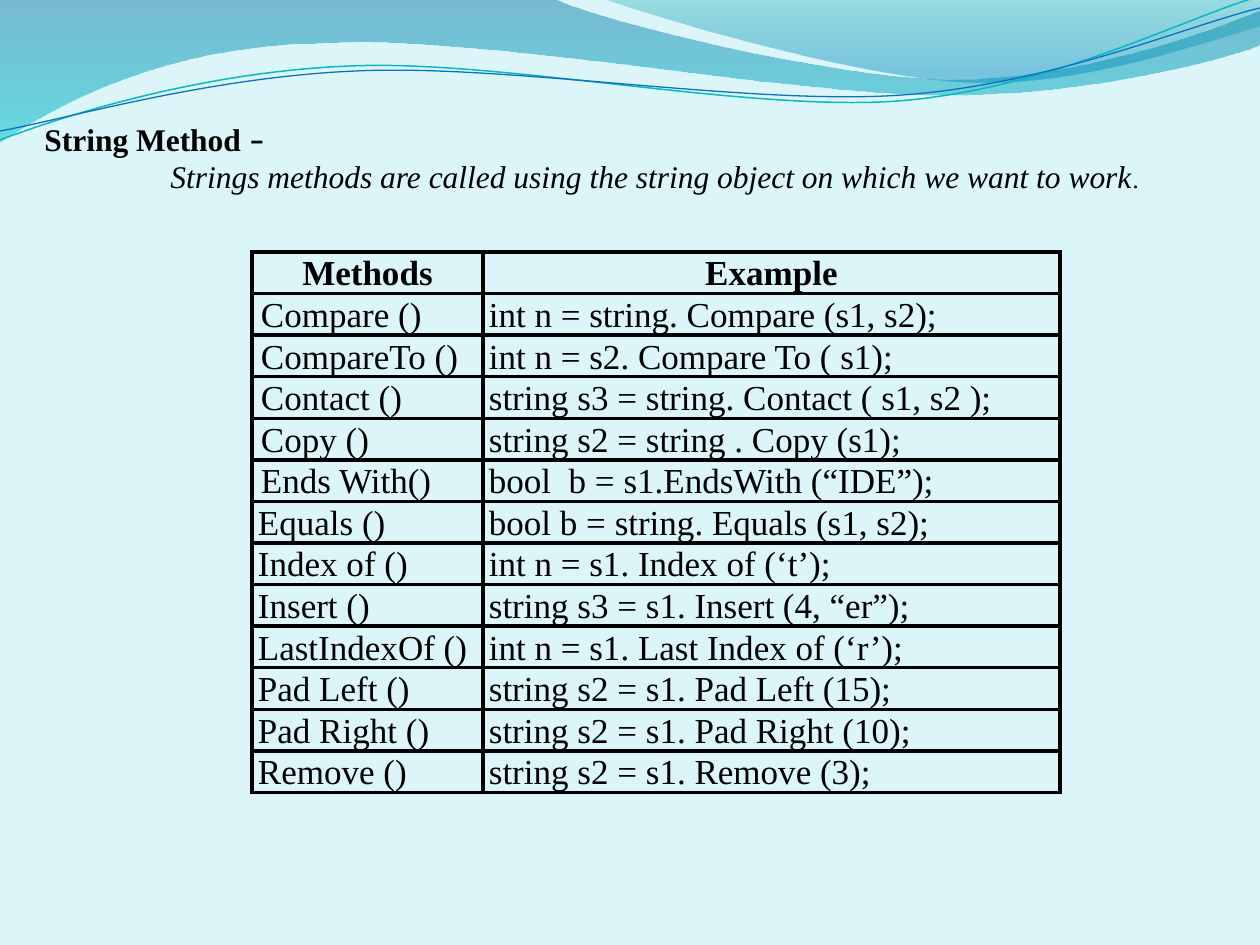
from lxml import etree
from pptx import Presentation
from pptx.dml.color import RGBColor
from pptx.enum.text import MSO_ANCHOR, MSO_AUTO_SIZE, PP_ALIGN
from pptx.oxml.ns import qn
from pptx.util import Emu, Pt

EMU_PER_PX = 914400 / 126
CENTER, LEFT = PP_ALIGN.CENTER, PP_ALIGN.LEFT
MIDDLE = MSO_ANCHOR.MIDDLE
FIT_SHAPE = MSO_AUTO_SIZE.SHAPE_TO_FIT_TEXT

BLACK = RGBColor(0x00, 0x00, 0x00)
PALE_AQUA = RGBColor(0xDB, 0xF5, 0xF9)
DEEP_BLUE = RGBColor(0x00, 0x74, 0xA1)
TURQUOISE = RGBColor(0x00, 0xC6, 0xCF)
TEAL = RGBColor(0x00, 0xA1, 0xA9)
SKY_BLUE = RGBColor(0x00, 0x8B, 0xBF)
LINE_TEAL = RGBColor(0x0A, 0xB8, 0xBF)
LINE_BLUE = RGBColor(0x0F, 0x6F, 0xC6)

SERIF = "Times New Roman"

# A pair is a straight segment's end; six numbers are a cubic curve's
# two control points and end.
LEFT_WAVE = [
    (0, 0), (554, -1), (600, 21, 837, 79, 955, 79),
    (1075, 79, 1207, 33, 1260, 11), (1261, 45),
    (1238, 55, 1096, 96, 940, 95), (784, 94, 481, 35, 324, 43),
    (163, 45, 58, 105, -1, 142), (0, 0),
]
RIGHT_WAVE = [
    (604, -1), (641, 14, 859, 78, 969, 82),
    (1079, 87, 1211, 40, 1260, 26), (1260, 0), (604, -1),
]
TEAL_CURVE = [
    (0, 140), (60, 117, 199, 72, 349, 66),
    (498, 59, 747, 112, 898, 101), (1050, 89, 1182, 19, 1257, -3),
]
BLUE_CURVE = [
    (0, 131), (59, 121, 207, 77, 357, 71),
    (508, 64, 752, 106, 903, 95), (1053, 84, 1186, 26, 1260, 8),
]

METHODS = [
    ("Methods", "Example"),
    ("Compare ()", "int n = string. Compare (s1, s2);"),
    ("CompareTo ()", "int n = s2. Compare To ( s1);"),
    ("Contact ()", "string s3 = string. Contact ( s1, s2 );"),
    ("Copy ()", "string s2 = string . Copy (s1);"),
    ("Ends With()", "bool  b = s1.EndsWith (“IDE”);"),
    ("Equals ()", "bool b = string. Equals (s1, s2);"),
    ("Index of ()", "int n = s1. Index of (‘t’);"),
    ("Insert ()", "string s3 = s1. Insert (4, “er”);"),
    ("LastIndexOf ()", "int n = s1. Last Index of (‘r’);"),
    ("Pad Left ()", "string s2 = s1. Pad Left (15);"),
    ("Pad Right ()", "string s2 = s1. Pad Right (10);"),
    ("Remove ()", "string s2 = s1. Remove (3);"),
]
INDENTED_ROWS = range(1, 6)
COLUMN_WIDTHS = (231, 577)
ROW_HEIGHT = 41


def px(length):
    return Emu(round(length * EMU_PER_PX))


def set_attributes(target, values):
    for name, value in values.items():
        setattr(target, name, value)


def add_run(paragraph, text, **font_values):
    run = paragraph.add_run()
    run.text = text
    run.font.color.rgb = BLACK
    set_attributes(run.font, {"name": SERIF, **font_values})


def add_outline(slide, outline, close):
    """Draw all points as straight lines, then join threes into curves."""
    points = [(px(segment[i]), px(segment[i + 1]))
              for segment in outline for i in range(0, len(segment), 2)]
    builder = slide.shapes.build_freeform(*points[0])
    builder.add_line_segments(points[1:], close=close)
    shape = builder.convert_to_shape()
    shape.shadow.inherit = False
    lines = iter(list(shape._element.spPr.iter(qn("a:lnTo"))))
    for segment in outline[1:]:
        line = next(lines)
        if len(segment) == 2:
            continue
        curve = etree.Element(qn("a:cubicBezTo"))
        line.addprevious(curve)
        for control in (line, next(lines), next(lines)):
            curve.append(control[0])
            control.getparent().remove(control)
    return shape


def add_wave(slide, outline, stops):
    """Add a closed wave; each stop is (position, colour, opacity percent)."""
    shape = add_outline(slide, outline, close=True)
    shape.line.fill.background()
    shape.fill.gradient()
    shape.fill.gradient_angle = 270
    for stop, (position, color, _) in zip(shape.fill.gradient_stops, stops):
        stop.position = position
        stop.color.rgb = color
    colors = shape._element.spPr.iter(qn("a:srgbClr"))
    for color_element, (_, _, opacity) in zip(list(colors), stops):
        etree.SubElement(color_element, qn("a:alpha"), val=str(opacity * 1000))


def add_curve(slide, outline, color, width):
    shape = add_outline(slide, outline, close=False)
    shape.fill.background()
    shape.line.color.rgb = color
    shape.line.width = Pt(width)


def add_borders(cell, width):
    properties = cell._tc.get_or_add_tcPr()
    for index, side in enumerate(("lnL", "lnR", "lnT", "lnB")):
        border = etree.Element(qn(f"a:{side}"), w=str(Pt(width)))
        fill = etree.SubElement(border, qn("a:solidFill"))
        etree.SubElement(fill, qn("a:srgbClr"), val=str(BLACK))
        properties.insert(index, border)


def fill_cell(cell, text, header, indent):
    cell.fill.background()
    add_borders(cell, 2.25)
    set_attributes(cell, {"margin_left": px(6), "margin_right": px(6),
                          "margin_top": 0, "margin_bottom": 0})
    paragraph = cell.text_frame.paragraphs[0]
    set_attributes(paragraph, {"alignment": CENTER if header else LEFT,
                               "line_spacing": 1.07})
    if indent:
        paragraph._p.get_or_add_pPr().set("marL", str(px(indent)))
    add_run(paragraph, text, size=Pt(20), bold=header)


def add_method_table(slide):
    table = slide.shapes.add_table(
        len(METHODS), len(COLUMN_WIDTHS), px(252), px(252),
        px(sum(COLUMN_WIDTHS)), px(ROW_HEIGHT * len(METHODS))).table
    set_attributes(table, {"first_row": False, "horz_banding": False})
    for column, width in zip(table.columns, COLUMN_WIDTHS):
        column.width = px(width)
    for row, texts in enumerate(METHODS):
        table.rows[row].height = px(ROW_HEIGHT)
        for column, text in enumerate(texts):
            indent = 3 if column == 0 and row in INDENTED_ROWS else 0
            fill_cell(table.cell(row, column), text, row == 0, indent)


def add_tab_stop(paragraph, position):
    tabs = etree.SubElement(paragraph._p.get_or_add_pPr(), qn("a:tabLst"))
    etree.SubElement(tabs, qn("a:tab"), pos=str(px(position)), algn="l")


def add_heading(slide):
    text_frame = slide.shapes.add_textbox(
        px(32), px(113), px(1134), px(89)).text_frame
    set_attributes(text_frame, {"word_wrap": True, "auto_size": FIT_SHAPE,
                                "vertical_anchor": MIDDLE})
    title = text_frame.paragraphs[0]
    add_run(title, "String Method ", size=Pt(18), bold=True)
    add_run(title, "–", size=Pt(18), bold=True, name="Calibri")
    description = text_frame.add_paragraph()
    add_tab_stop(description, 126)
    add_run(description, "\tStrings methods are called using the string "
            "object on which we want to work", size=Pt(18), italic=True)
    add_run(description, ".", size=Pt(14))


def main():
    presentation = Presentation()
    set_attributes(presentation, {"slide_width": px(1260),
                                  "slide_height": px(945)})
    slide = presentation.slides.add_slide(presentation.slide_layouts[6])
    slide.background.fill.solid()
    slide.background.fill.fore_color.rgb = PALE_AQUA
    add_wave(slide, LEFT_WAVE, [(0, DEEP_BLUE, 45), (1, TURQUOISE, 55)])
    add_wave(slide, RIGHT_WAVE, [(0, TEAL, 30), (0.8, SKY_BLUE, 45)])
    add_curve(slide, TEAL_CURVE, LINE_TEAL, 0.85)
    add_curve(slide, BLUE_CURVE, LINE_BLUE, 0.75)
    add_method_table(slide)
    add_heading(slide)
    presentation.save("out.pptx")


if __name__ == "__main__":
    main()
